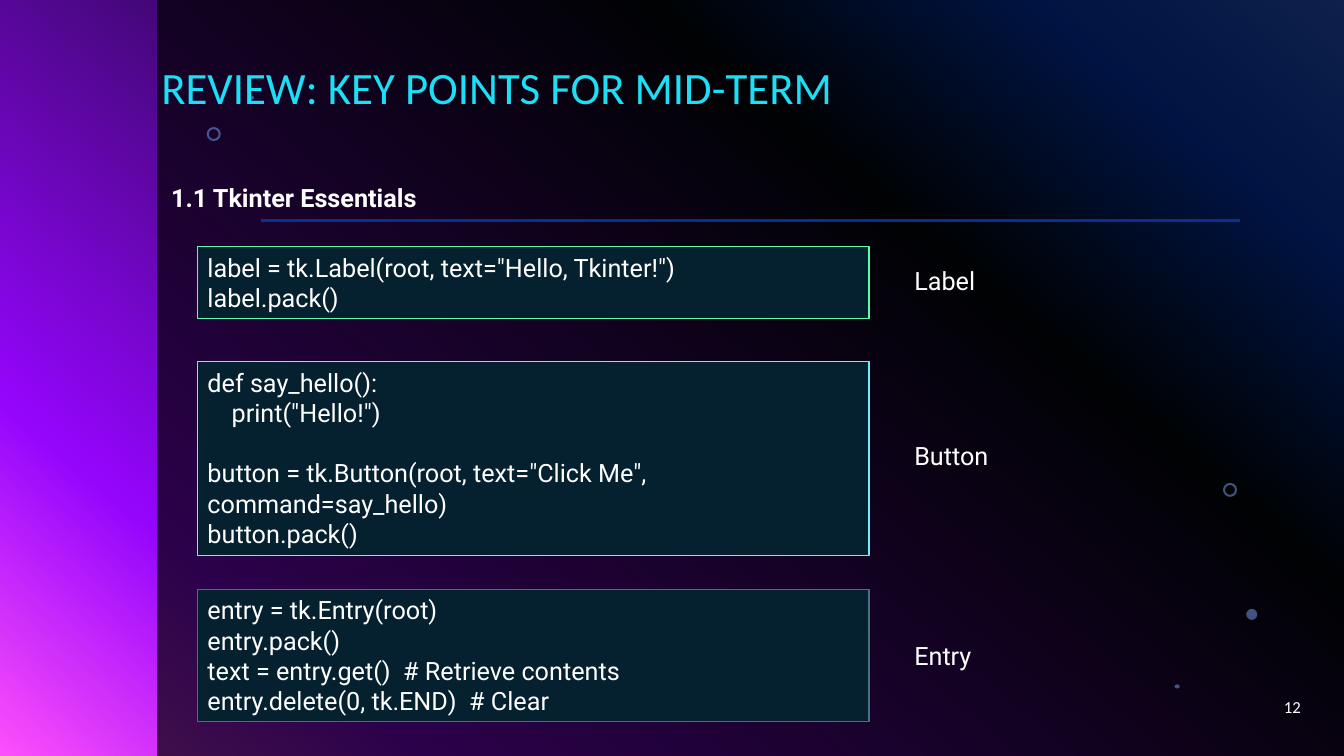
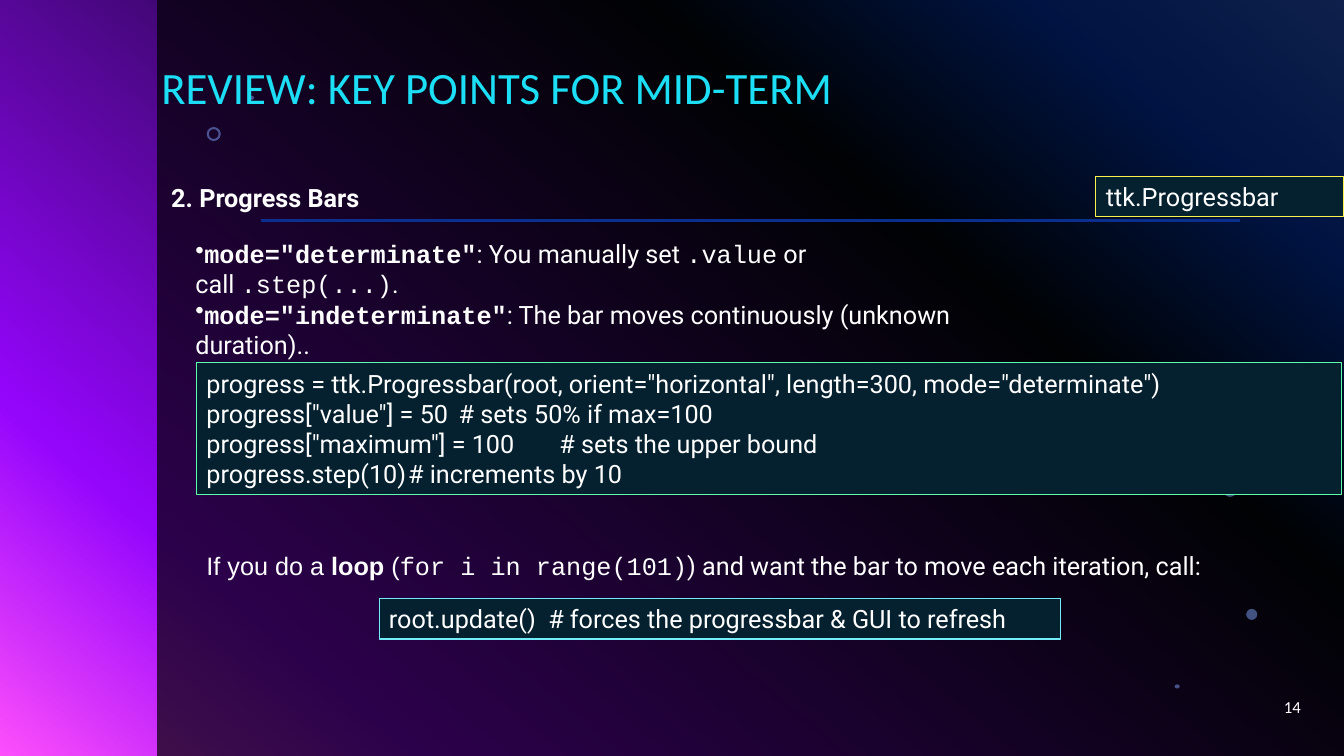
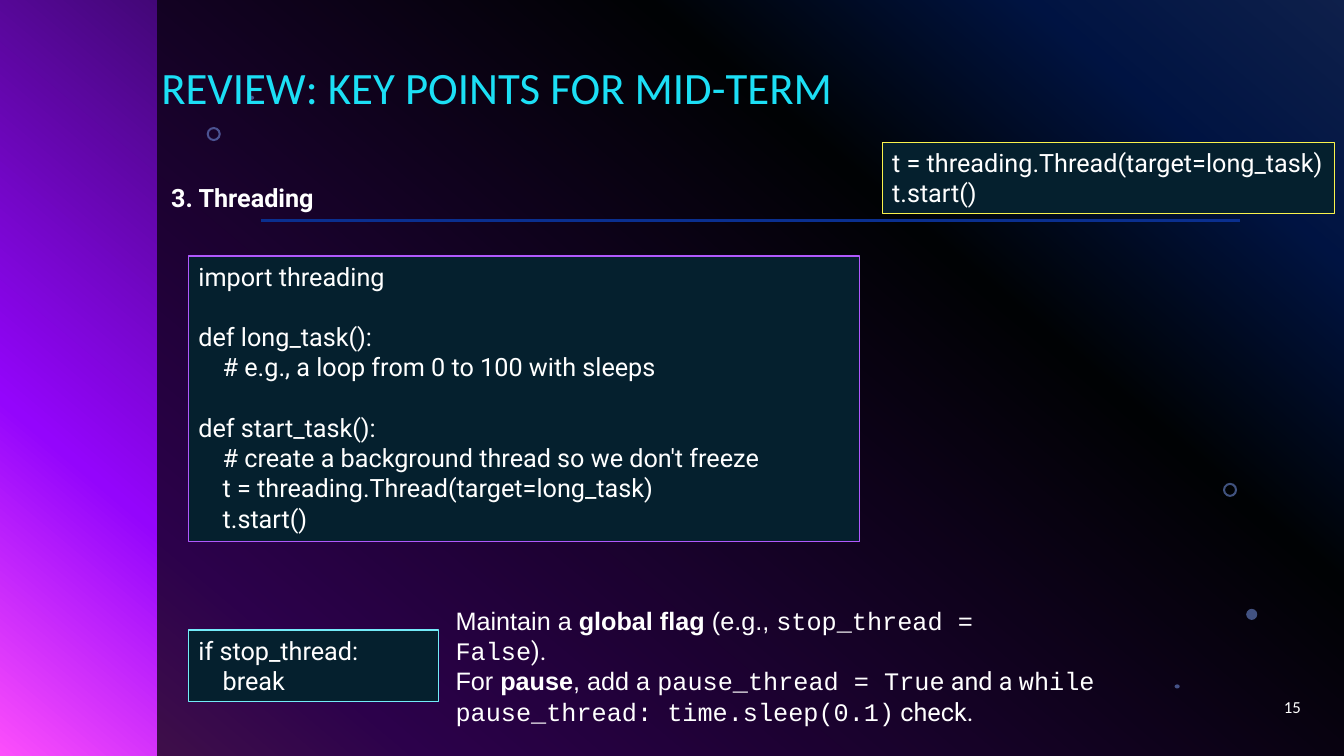
from lxml import etree
from pptx import Presentation
from pptx.dml.color import RGBColor
from pptx.enum.shapes import MSO_CONNECTOR, MSO_SHAPE
from pptx.enum.text import MSO_ANCHOR, PP_ALIGN
from pptx.oxml.ns import qn
from pptx.util import Inches, Pt

RECTANGLE, OVAL, DONUT = MSO_SHAPE.RECTANGLE, MSO_SHAPE.OVAL, MSO_SHAPE.DONUT
STRAIGHT = MSO_CONNECTOR.STRAIGHT
TOP, MIDDLE, BOTTOM = MSO_ANCHOR.TOP, MSO_ANCHOR.MIDDLE, MSO_ANCHOR.BOTTOM
LEFT, RIGHT = PP_ALIGN.LEFT, PP_ALIGN.RIGHT

BODY, PLAIN, MONO, HEAD = "Roboto", "Arial", "Courier New", "Calibri"
WHITE, BLACK, TITLE_CYAN = "FFFFFF", "000000", "1CDFF5"
CODE_FILL, RULE_BLUE, DOT_BLUE = "05202E", "0A2F8F", "83A7FD"
GREEN, CYAN, SLATE, YELLOW, VIOLET = "5EFCAC", "73EBF9", "4A7080", "FAF24C", "B059FD"
BACKDROP = [(0, "316CFC"), (14, "0343DF"), (31, "02090E"), (81, "9405FC"), (100, "FC4EFB")]
BACKDROP_ANGLE = 130
DOTS = [
    (DONUT, 12.13, 4.79, 0.14, 0.14),
    (OVAL, 12.36, 6.04, 0.11, 0.11),
    (OVAL, 11.65, 6.79, 0.05, 0.04),
    (DONUT, 2.05, 1.26, 0.14, 0.14),
    (OVAL, 2.47, 0.95, 0.05, 0.04),
]

ROW, PADDING = 0.303, 0.1
SPACE_WIDTH = 0.06
BLANK_ROW = 21.6

TITLE = "REVIEW: KEY POINTS FOR MID-TERM"
SLIDES = [
    {
        "number": "12",
        "heading": "1.1 Tkinter Essentials",
        "code": [
            {"at": (1.96, 2.45), "width": 6.66, "rows": 2, "edge": GREEN, "lines": [
                'label = tk.Label(root, text="Hello, Tkinter!")',
                "label.pack()"]},
            {"at": (1.96, 3.59), "width": 6.66, "rows": 6, "edge": CYAN, "lines": [
                "def say_hello():",
                '    print("Hello!")',
                "",
                'button = tk.Button(root, text="Click Me", command=say_hello)',
                "button.pack()"]},
            {"at": (1.96, 5.85), "width": 6.66, "rows": 4, "edge": SLATE, "lines": [
                "entry = tk.Entry(root)",
                "entry.pack()",
                "text = entry.get()  # Retrieve contents",
                "entry.delete(0, tk.END)  # Clear"]},
        ],
        "notes": [
            {"at": (8.97, 2.58), "width": 2, "rows": 1, "lines": ["Label"]},
            {"at": (8.97, 4.32), "width": 2, "rows": 1, "lines": ["Button"]},
            {"at": (8.97, 6.3), "width": 2, "rows": 1, "lines": ["Entry"]},
        ],
    },
    {
        "number": "14",
        "heading": "2. Progress Bars",
        "code": [
            {"at": (10.87, 1.75), "width": 2.46, "rows": 1, "edge": YELLOW,
             "lines": ["ttk.Progressbar"]},
            {"at": (1.95, 3.6), "width": 11.36, "rows": 4, "edge": GREEN,
             "tabs": (None, 2.84, 3.31, 2.73), "lines": [
                 'progress = ttk.Progressbar(root, orient="horizontal", length=300, mode="determinate")',
                 'progress["value"] = 50\t# sets 50% if max=100',
                 'progress["maximum"] = 100\t# sets the upper bound',
                 "progress.step(10)\t# increments by 10"]},
            {"at": (3.76, 5.94), "width": 6.76, "rows": 1, "edge": CYAN,
             "lines": ["root.update()  # forces the progressbar & GUI to refresh"]},
        ],
        "notes": [
            {"at": (1.84, 2.31), "width": 8.33, "rows": 4, "bullet": "•", "lines": [
                [('mode="determinate"', MONO, True), (": You manually set ", BODY, False),
                 (".value", MONO, False), (" or\ncall ", BODY, False),
                 (".step(...)", MONO, False), (".", BODY, False)],
                [('mode="indeterminate"', MONO, True),
                 (": The bar moves continuously (unknown duration)..", BODY, False)]]},
            {"at": (1.95, 5.41), "width": 11.3, "rows": 1, "lines": [
                [("If you do a ", PLAIN, False), ("loop", PLAIN, True), (" (", PLAIN, False),
                 ("for i in range(101)", MONO, False),
                 (") and want the bar to move each iteration, call:", BODY, False)]]},
        ],
    },
    {
        "number": "15",
        "heading": "3. Threading",
        "code": [
            {"at": (8.75, 1.41), "width": 4.49, "rows": 2, "edge": YELLOW, "lines": [
                "t = threading.Thread(target=long_task)",
                "t.start()"]},
            {"at": (1.87, 2.54), "width": 6.66, "rows": 9, "edge": VIOLET, "lines": [
                "import threading",
                "",
                "def long_task():",
                "    # e.g., a loop from 0 to 100 with sleeps",
                "",
                "def start_task():",
                "    # create a background thread so we don't freeze",
                "    t = threading.Thread(target=long_task)",
                "    t.start()"]},
            {"at": (1.87, 6.25), "width": 2.48, "rows": 2, "edge": CYAN, "lines": [
                "if stop_thread:",
                "    break"]},
        ],
        "notes": [
            {"at": (4.42, 5.95), "width": 5.85, "rows": 2, "lines": [
                [("Maintain a ", PLAIN, False), ("global flag", PLAIN, True),
                 (" (e.g., ", PLAIN, False), ("stop_thread = False", MONO, False),
                 (").", BODY, False)]]},
            {"at": (4.42, 6.55), "width": 8.26, "rows": 2, "lines": [
                [("For ", PLAIN, False), ("pause", PLAIN, True), (", add a ", PLAIN, False),
                 ("pause_thread = True", MONO, False), (" and a ", BODY, False),
                 ("while pause_thread: time.sleep(0.1)", MONO, False),
                 (" check.", BODY, False)]]},
        ],
    },
]


def color(value):
    return RGBColor.from_string(value)


def height(rows):
    return round(PADDING + ROW * rows, 2)


def box(left, top, width, tall):
    return [Inches(length) for length in (left, top, width, tall)]


def write(holder, lines, size=18, font=BODY, ink=WHITE, bold=False, align=LEFT,
          anchor=TOP, spacing=None, bullet=None, tabs=()):
    frame = holder.text_frame
    frame.word_wrap = True
    frame.vertical_anchor = anchor
    paragraph, gap = None, 0
    for index, line in enumerate(lines):
        if not line:
            gap += BLANK_ROW
            continue
        paragraph = frame.add_paragraph() if paragraph else frame.paragraphs[0]
        paragraph.alignment = align
        if spacing:
            paragraph.line_spacing = spacing
        if gap:
            paragraph.space_before = Pt(gap)
            gap = 0
        properties = paragraph._p.get_or_add_pPr()
        if bullet:
            etree.SubElement(properties, qn("a:buChar"), char=bullet)
        if tabs and tabs[index]:
            stops = etree.SubElement(properties, qn("a:tabLst"))
            etree.SubElement(stops, qn("a:tab"), pos=str(Inches(tabs[index])), algn="l")
        if isinstance(line, str):
            code = line.lstrip()
            properties.set("marL", str(Inches(SPACE_WIDTH * (len(line) - len(code)))))
            properties.set("indent", "0")
            line = [(code, font, bold)]
        for words, face, heavy in line:
            for part, piece in enumerate(words.split("\n")):
                if part:
                    paragraph.add_line_break()
                run = paragraph.add_run()
                run.text = piece
                run.font.name, run.font.size, run.font.bold = face, Pt(size), heavy
                run.font.color.rgb = color(ink)


def add_text(slide, place, lines, **style):
    holder = slide.shapes.add_textbox(*box(*place))
    write(holder, lines, **style)
    return holder


def add_panel(slide, preset, place, fill, opacity=None, edge=None):
    panel = slide.shapes.add_shape(preset, *box(*place))
    panel.shadow.inherit = False
    panel.fill.solid()
    panel.fill.fore_color.rgb = color(fill)
    if opacity:
        tint = panel._element.spPr.find(qn("a:solidFill"))[0]
        etree.SubElement(tint, qn("a:alpha"), val=str(opacity * 1000))
    if edge:
        panel.line.color.rgb = color(edge)
        panel.line.width = Pt(0.75)
    else:
        panel.line.fill.background()
    return panel


def paint_backdrop(master):
    fill = master.background.fill
    fill.gradient()
    fill.gradient_angle = 360 - BACKDROP_ANGLE
    stops = next(master.element.iter(qn("a:gsLst")))
    for stop in list(stops):
        stops.remove(stop)
    for position, tone in BACKDROP:
        stop = etree.SubElement(stops, qn("a:gs"), pos=str(position * 1000))
        etree.SubElement(stop, qn("a:srgbClr"), val=tone)


def add_frame(slide, heading, number):
    add_panel(slide, RECTANGLE, (1.56, 0, 11.77, 7.5), BLACK, opacity=70)
    for preset, *place in DOTS:
        dot = add_panel(slide, preset, place, DOT_BLUE, opacity=49)
        if preset == DONUT:
            dot.adjustments[0] = 0.15
    rule = slide.shapes.add_connector(STRAIGHT, *box(2.59, 2.19, 12.3, 2.19))
    rule.line.color.rgb = color(RULE_BLUE)
    rule.line.width = Pt(2)
    etree.SubElement(rule._element.spPr, qn("a:effectLst"))
    add_text(slide, (10, 6.81, 3, 0.4), [number], size=12, font=HEAD, align=RIGHT, anchor=MIDDLE)
    title = add_text(slide, (1.6, 0.18, 9.67, 1), [TITLE], size=32, font=HEAD,
                     ink=TITLE_CYAN, anchor=BOTTOM, spacing=0.9)
    title.text_frame.margin_left = 0
    add_text(slide, (1.6, 1.76, 5, height(1)), [heading], bold=True)


def main():
    prs = Presentation()
    prs.slide_width, prs.slide_height = Inches(13.33), Inches(7.5)
    paint_backdrop(prs.slide_master)
    for content in SLIDES:
        slide = prs.slides.add_slide(prs.slide_layouts[6])
        add_frame(slide, content["heading"], content["number"])
        for code in content["code"]:
            place = (*code["at"], code["width"], height(code["rows"]))
            panel = add_panel(slide, RECTANGLE, place, CODE_FILL, edge=code["edge"])
            write(panel, code["lines"], tabs=code.get("tabs", ()))
        for note in content["notes"]:
            place = (*note["at"], note["width"], height(note["rows"]))
            add_text(slide, place, note["lines"], anchor=MIDDLE, bullet=note.get("bullet"))
    prs.save("out.pptx")


if __name__ == "__main__":
    main()
